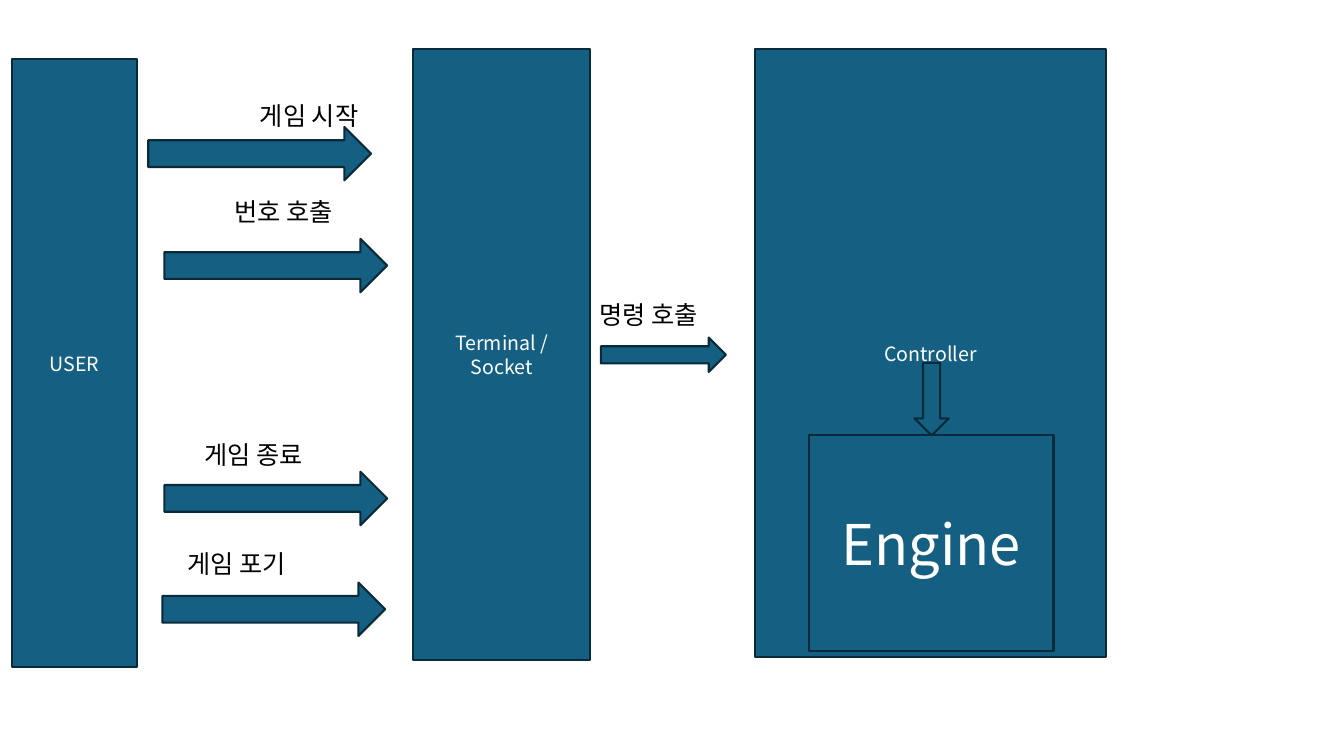
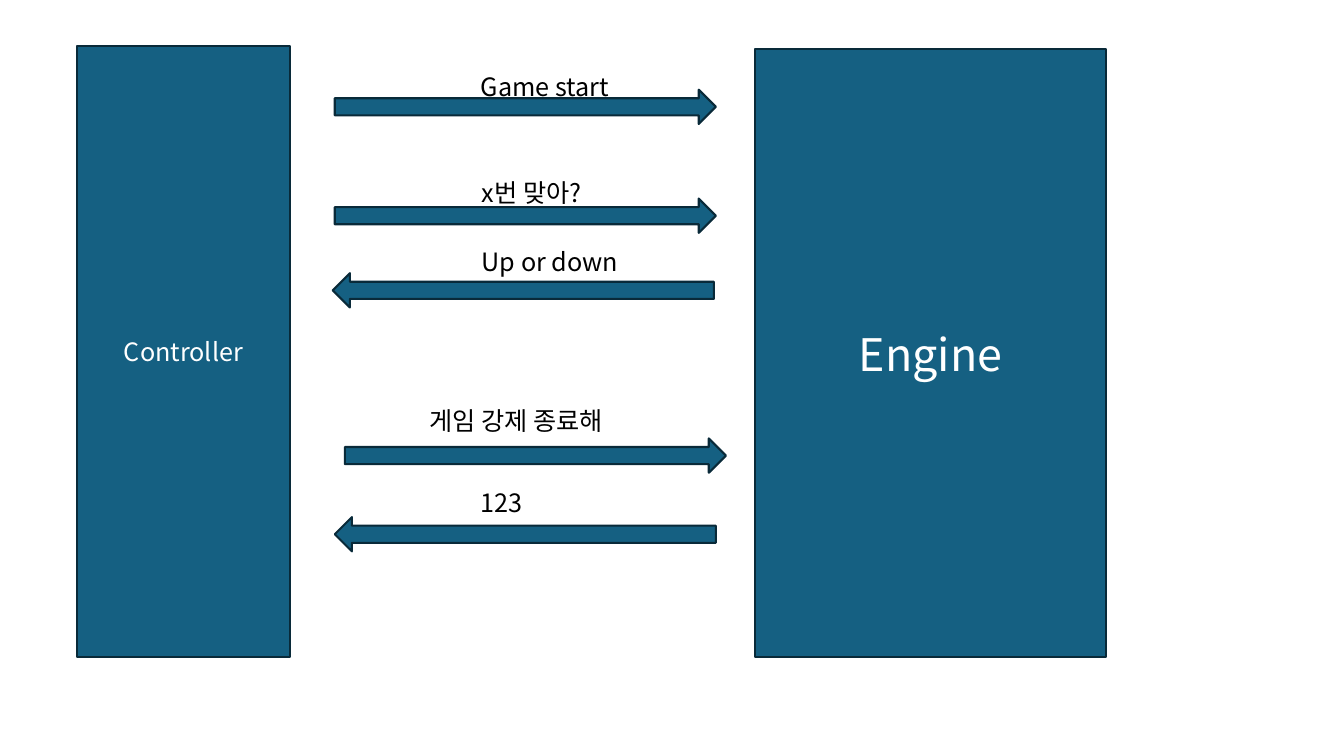
from typing import NamedTuple

import lxml.etree
import pptx
import pptx.dml.color
import pptx.enum.shapes
import pptx.enum.text
import pptx.oxml.ns
import pptx.util

PX = 9144  # EMU in one px, 100 px to the inch
FONT = "Noto Sans CJK KR"
FILL, EDGE, WHITE, BLACK = "156082", "092A39", "FFFFFF", "000000"
KIND = pptx.enum.shapes.MSO_SHAPE
ALIGN = pptx.enum.text.PP_ALIGN
BOX_FORM = {"word_wrap": True, "vertical_anchor": pptx.enum.text.MSO_ANCHOR.MIDDLE}
NOTE_FORM = {"word_wrap": True, "auto_size": pptx.enum.text.MSO_AUTO_SIZE.SHAPE_TO_FIT_TEXT}


class Box(NamedTuple):
    text: str
    left: int
    top: int
    width: int
    height: int
    size: int = 14


class Arrow(NamedTuple):
    left: int
    top: int
    width: int
    height: int = 34
    turn: int = 0


class Note(NamedTuple):
    text: str
    left: int
    top: int
    width: int = 161


class Page(NamedTuple):
    boxes: list[Box]
    arrows: list[Arrow]
    notes: list[Note]


CALL_W, CALL_H = 221, 53
LINK_W = 378
MAIN = (749, 49, 348, 603)

PAGES = [
    Page(
        [
            Box("Controller", *MAIN),
            Box("Engine", 802, 432, 243, 214, 40),
            Box("USER", 12, 59, 124, 603),
            Box("Terminal / Socket", 410, 49, 175, 606),
        ],
        [
            *(Arrow(left, top, CALL_W, CALL_H)
              for left, top in ((147, 126), (163, 237), (163, 468), (161, 578))),
            Arrow(596, 335, 124),
            Arrow(888, 379, 72, turn=90),
        ],
        [
            Note("게임 시작", 248, 95),
            Note("번호 호출", 223, 190),
            Note("게임 종료", 193, 431),
            Note("게임 포기", 176, 539),
            Note("명령 호출", 585, 292),
        ],
    ),
    Page(
        [Box("Engine", *MAIN, 32), Box("Controller", 76, 46, 212, 606, 18)],
        [
            Arrow(332, 89, LINK_W),
            Arrow(332, 197, LINK_W),
            Arrow(330, 271, LINK_W, turn=180),
            Arrow(342, 435, LINK_W),
            Arrow(332, 513, LINK_W, turn=180),
        ],
        [
            Note("Game start", 467, 66),
            Note("x번 맞아?", 468, 171),
            Note("Up or down", 468, 239),
            Note("게임 강제 종료해", 416, 397, 231),
            Note("123", 467, 479),
        ],
    ),
]


def px(*sizes: int) -> list[int]:
    return [size * PX for size in sizes]


def rgb(code: str) -> pptx.dml.color.RGBColor:
    return pptx.dml.color.RGBColor.from_string(code)


def format_all(target, values: dict) -> None:
    for name, value in values.items():
        setattr(target, name, value)


def write(shape, text: str, size: int, color: str, align, form: dict) -> None:
    format_all(shape.text_frame, form)
    para = shape.text_frame.paragraphs[0]
    para.alignment = align
    run = para.add_run()
    run.text = text
    format_all(run.font, {"size": pptx.util.Pt(size), "name": FONT})
    run.font.color.rgb = rgb(color)
    # Hangul takes its face from the East Asian font
    props = run.font._element
    lxml.etree.SubElement(props, pptx.oxml.ns.qn("a:ea")).set("typeface", FONT)


def add_solid(slide, kind, left: int, top: int, width: int, height: int):
    """Add a preset shape in the shared fill and outline."""
    shape = slide.shapes.add_shape(kind, *px(left, top, width, height))
    shape.shadow.inherit = False
    shape.fill.solid()
    shape.fill.fore_color.rgb = rgb(FILL)
    shape.line.color.rgb = rgb(EDGE)
    shape.line.width = pptx.util.Pt(1.5)
    return shape


def add_box(slide, box: Box) -> None:
    shape = add_solid(slide, KIND.RECTANGLE, box.left, box.top, box.width, box.height)
    write(shape, box.text, box.size, WHITE, ALIGN.CENTER, BOX_FORM)


def add_arrow(slide, arrow: Arrow) -> None:
    shape = add_solid(slide, KIND.RIGHT_ARROW, arrow.left, arrow.top, arrow.width, arrow.height)
    shape.rotation = arrow.turn


def add_note(slide, note: Note) -> None:
    shape = slide.shapes.add_textbox(*px(note.left, note.top, note.width, 40))
    write(shape, note.text, 18, BLACK, ALIGN.LEFT, NOTE_FORM)


def main() -> None:
    deck = pptx.Presentation()
    deck.slide_width, deck.slide_height = px(1333, 750)
    for page in PAGES:
        slide = deck.slides.add_slide(deck.slide_layouts[6])
        for box in page.boxes:
            add_box(slide, box)
        for arrow in page.arrows:
            add_arrow(slide, arrow)
        for note in page.notes:
            add_note(slide, note)
    deck.save("out.pptx")


if __name__ == "__main__":
    main()
